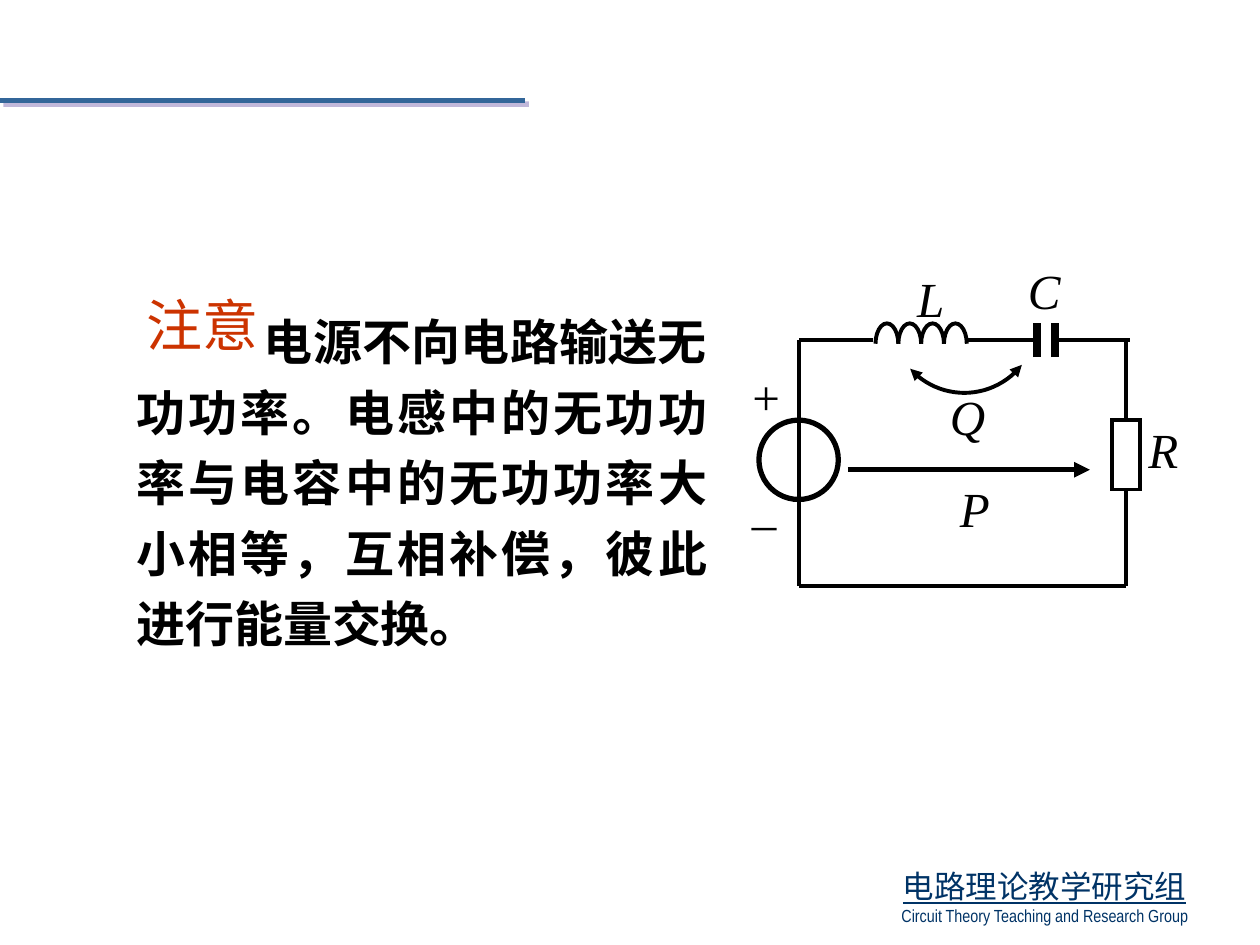
import math
from lxml import etree
from pptx import Presentation
from pptx import util as u
from pptx.dml.color import RGBColor
from pptx.enum import shapes, text
from pptx.oxml import parse_xml
from pptx.oxml.ns import nsdecls, qn

SERIF, CHINESE = "Times New Roman", "Noto Sans CJK SC"


def style_outline(shape, color, width, arrows=()):
    shape.line.color.rgb = RGBColor.from_string(color)
    shape.line.width = u.Pt(width)
    outline = shape.line._get_or_add_ln()
    etree.SubElement(outline, qn("a:miter"), lim="800000")
    for end in arrows:
        etree.SubElement(outline, qn(f"a:{end}"), type="triangle")
    if shape.shape_type == shapes.MSO_SHAPE_TYPE.LINE:
        etree.SubElement(shape._element.spPr, qn("a:effectLst"))
    else:
        shape.shadow.inherit = False


def add_text(box, lines, size, color="000000", font=SERIF, wrap=False,
             align=text.PP_ALIGN.LEFT, **looks):
    label = slide.shapes.add_textbox(*map(u.Cm, box))
    label.text_frame.word_wrap = wrap
    label.text_frame.text = lines
    for paragraph in label.text_frame.paragraphs:
        paragraph.alignment = align
        for run in paragraph.runs:
            run.font.size = u.Pt(size)
            run.font.name = font
            run.font.color.rgb = RGBColor.from_string(color)
            for look, value in looks.items():
                setattr(run.font, look, value)
            etree.SubElement(run._r.get_or_add_rPr(), qn("a:ea"), typeface=CHINESE)
    return label.text_frame


prs = Presentation()
prs.slide_width, prs.slide_height = u.Cm(25.4), u.Cm(19.05)
slide = prs.slides.add_slide(prs.slide_layouts[6])

group = add_text((17.15, 17.35, 7.82, 1.45),
                 "电路理论教学研究组\nCircuit Theory Teaching and Research Group",
                 18, "003366", CHINESE, True, text.PP_ALIGN.CENTER)
group.paragraphs[0].runs[0].font.underline = True
english = group.paragraphs[1].runs[0].font
english.size, english.name = u.Pt(10), "Arial Narrow"

header_rule = slide.shapes.add_connector(
    shapes.MSO_CONNECTOR.STRAIGHT, 0, u.Cm(2.03), u.Cm(10.59), u.Cm(2.03))
style_outline(header_rule, "336699", 3)
header_rule._element.spPr.find(qn("a:effectLst")).append(parse_xml(
    f'<a:outerShdw {nsdecls("a")} dist="35560" dir="2700000" algn="ctr" rotWithShape="0">'
    '<a:srgbClr val="8572B6"><a:alpha val="50000"/></a:srgbClr></a:outerShdw>'))

explanation = add_text(
    (2.5, 5.92, 12.01, 7.37),
    "电源不向电路输送无功功率。电感中的无功功率与电容中的无功功率大小相等，互相补偿，彼此进行能量交换。",
    28, wrap=True, align=text.PP_ALIGN.JUSTIFY, bold=True).paragraphs[0]
explanation.line_spacing = 1.2
explanation._p.get_or_add_pPr().set("indent", str(u.Cm(2.57)))
add_text((2.7, 5.74, 3.33, 1.6), "注意", 32, "CC3300")

left, right, top, bottom = 16.11, 22.69, 6.86, 11.81
wires = [
    (left, top, 17.6, top, 2.25, ()),
    (19.51, top, 20.9, top, 2.25, ()),
    (21.31, top, 22.78, top, 2.25, ()),
    (right, top, right, bottom, 2.25, ()),
    (right, bottom, left, bottom, 2.25, ()),
    (left, top, left, bottom, 2.25, ()),
    (20.9, 7.2, 20.9, 6.51, 4.5, ()),
    (21.27, 7.2, 21.27, 6.51, 4.5, ()),
    (17.09, 9.47, 21.97, 9.47, 3, ("tailEnd",)),
]
source = slide.shapes.add_shape(
    shapes.MSO_SHAPE.OVAL, *map(u.Cm, (15.3, 8.47, 1.6, 1.6)))
for *ends, width, arrows in wires:
    wire = slide.shapes.add_connector(shapes.MSO_CONNECTOR.STRAIGHT, *map(u.Cm, ends))
    style_outline(wire, "000000", width, arrows)
resistor = slide.shapes.add_shape(
    shapes.MSO_SHAPE.RECTANGLE, *map(u.Cm, (22.42, 8.47, 0.56, 1.4)))
for component, width in [(source, 3), (resistor, 2.25)]:
    component.fill.solid()
    component.fill.fore_color.rgb = RGBColor.from_string("FFFFFF")
    style_outline(component, "000000", width)

coil_pitch = 0.46
for turn in range(4):
    coil = slide.shapes.add_shape(
        shapes.MSO_SHAPE.ARC, *map(u.Cm, (17.65 + turn * coil_pitch, 6.52, coil_pitch, 0.82)))
    coil.adjustments[0], coil.adjustments[1] = 108, 0
    coil.fill.background()
    style_outline(coil, "000000", 2.25)

radius = 1.47
exchange = [(u.Cm(19.44 + radius * math.cos(math.radians(angle))),
             u.Cm(6.45 + radius * math.sin(math.radians(angle))))
            for angle in range(38, 140, 4)]
builder = slide.shapes.build_freeform(*exchange[0])
builder.add_line_segments(exchange[1:], close=False)
exchange_arrow = builder.convert_to_shape()
exchange_arrow.fill.background()
style_outline(exchange_arrow, "000000", 2.25, ("headEnd", "tailEnd"))

for symbol, x, y, width in [("P", 19.1, 9.53, 1.12), ("Q", 18.9, 7.67, 1.3),
                            ("L", 18.24, 5.28, 1.09), ("C", 20.47, 5.13, 1.17),
                            ("R", 22.9, 8.33, 1.14)]:
    add_text((x, y, width, 1.45), symbol, 28, italic=True)
for sign, y, width in [("+", 7.26, 1.07), ("_", 9.47, 0.94)]:
    add_text((14.91, y, width, 1.45), sign, 28, align=text.PP_ALIGN.CENTER)

prs.save("out.pptx")
